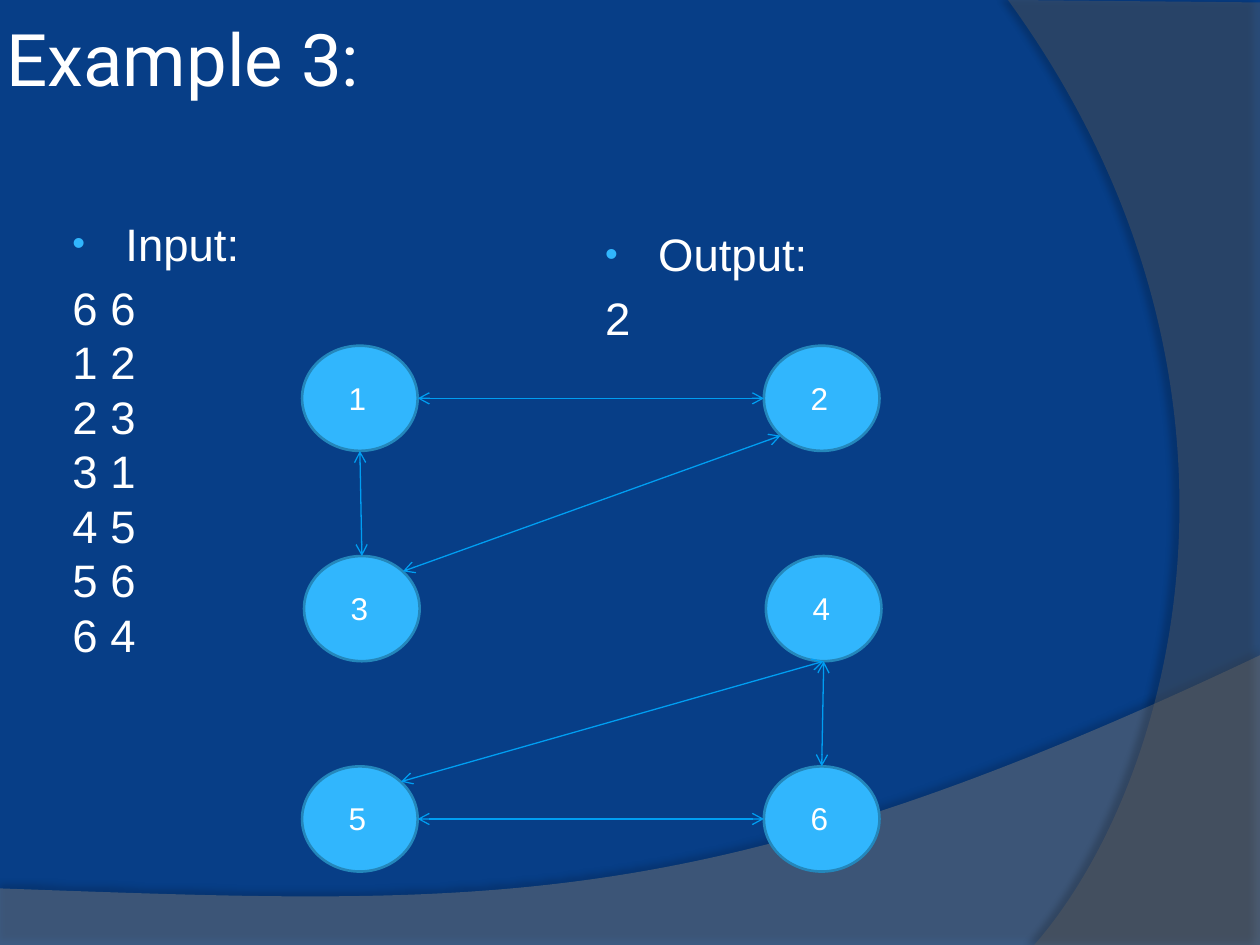
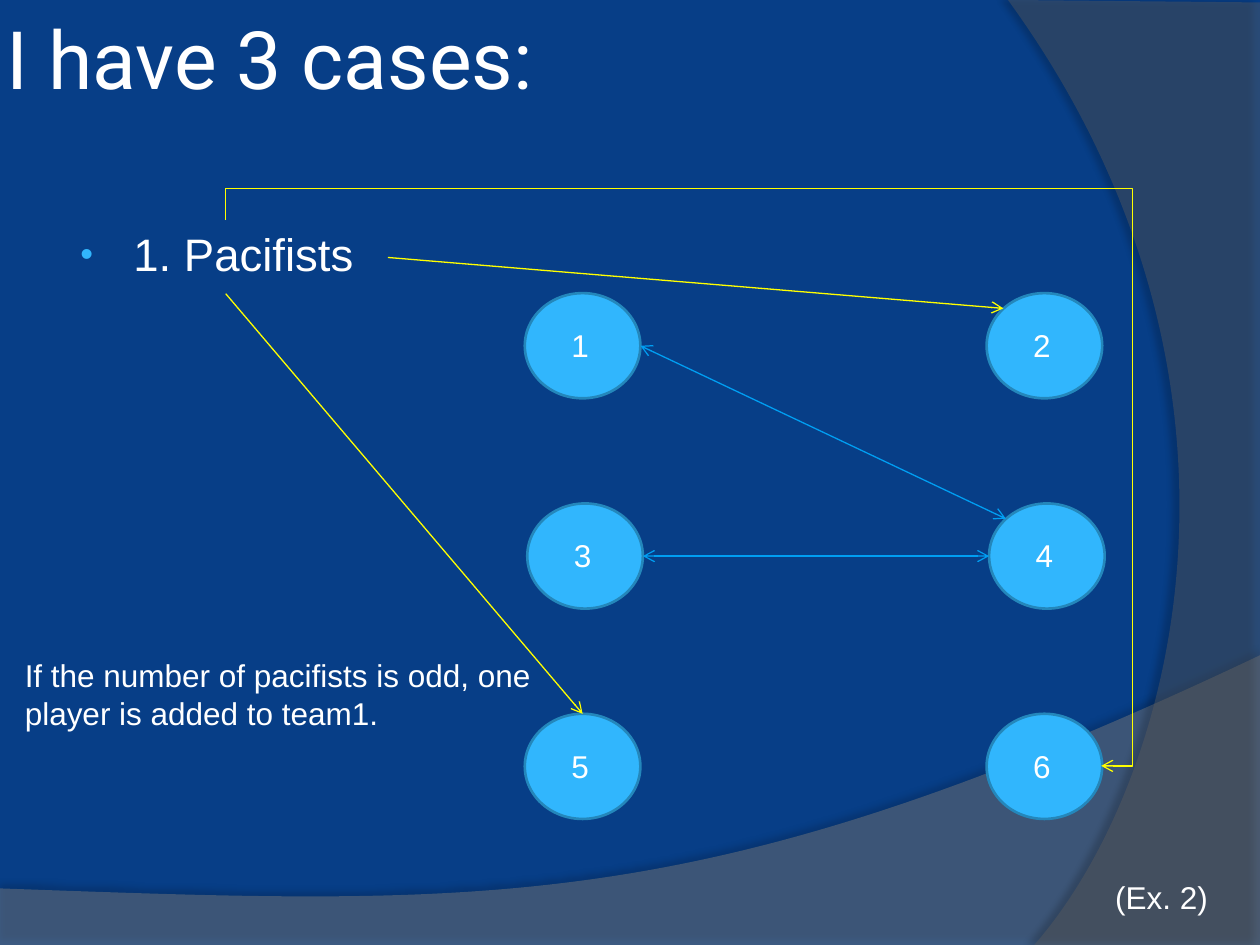
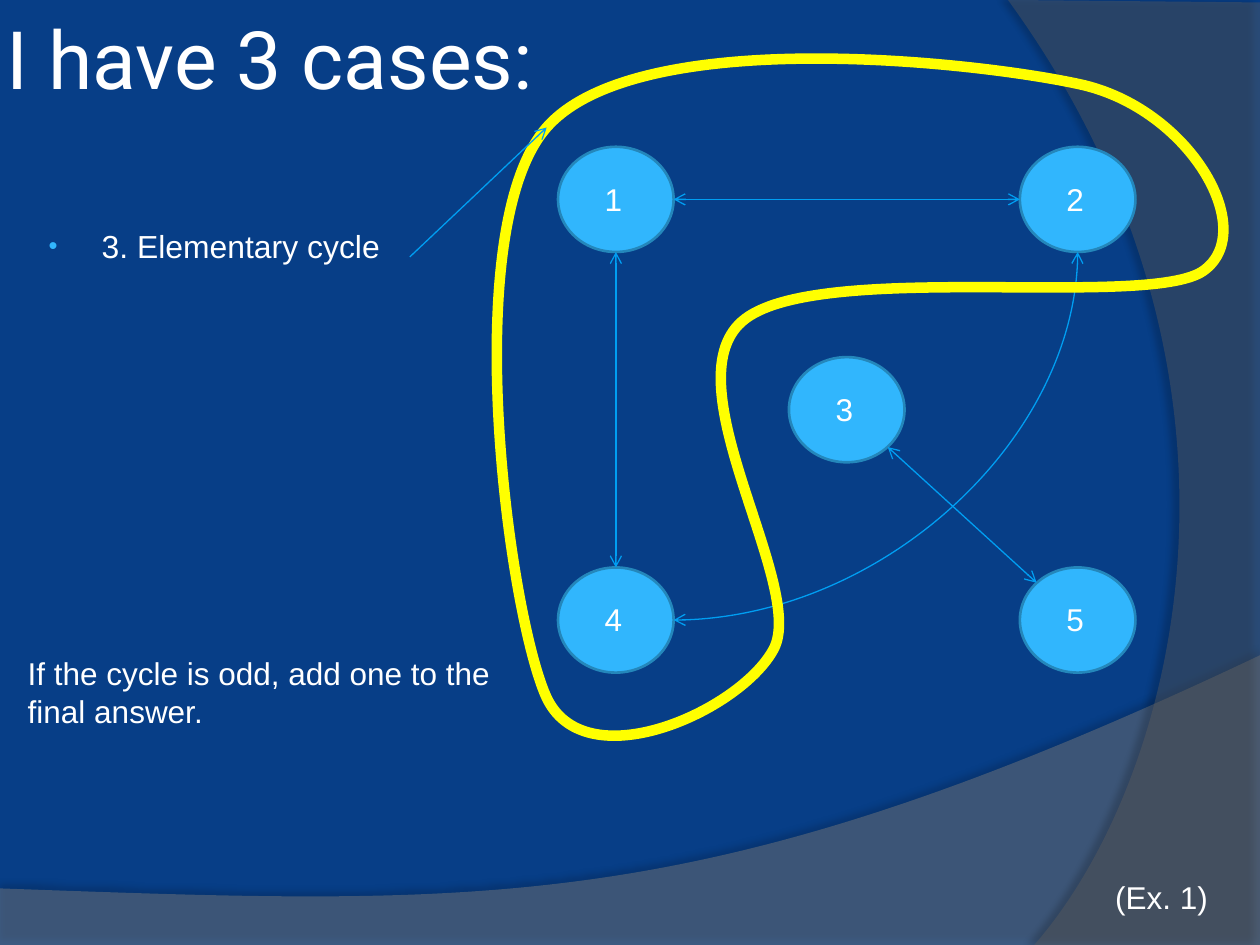
from lxml import etree
from pptx import Presentation
from pptx.dml.color import RGBColor
from pptx.enum.shapes import MSO_CONNECTOR, MSO_SHAPE
from pptx.enum.text import MSO_ANCHOR, MSO_AUTO_SIZE
from pptx.oxml.ns import qn
from pptx.util import Cm, Pt

STRAIGHT, ELBOW = MSO_CONNECTOR.STRAIGHT, MSO_CONNECTOR.ELBOW
OVAL = MSO_SHAPE.OVAL
MIDDLE = MSO_ANCHOR.MIDDLE
GROW = MSO_AUTO_SIZE.SHAPE_TO_FIT_TEXT

NAVY = RGBColor(0x07, 0x3E, 0x87)
SKY = RGBColor(0x31, 0xB6, 0xFD)
RIM = RGBColor(0x24, 0x87, 0xBB)
LINK = RGBColor(0x00, 0x9E, 0xF2)
YELLOW = RGBColor(0xFF, 0xFF, 0x00)
WHITE = RGBColor(0xFF, 0xFF, 0xFF)
GREY = RGBColor(0x7F, 0x7F, 0x7F)
DARK_GREY = RGBColor(0x5E, 0x5E, 0x5E)

# All plain numbers below are centimetres.
SLIDE_W, SLIDE_H = 25.4, 19.05
NODE_W, NODE_H = 2.33, 2.12
COL_GAP, ROW_GAP = 9.31, 4.24
DIAGONAL = 0.71
SIDES = {"T": (0, -1), "B": (0, 1), "L": (-1, 0), "R": (1, 0),
         "TL": (-DIAGONAL, -DIAGONAL), "TR": (DIAGONAL, -DIAGONAL),
         "BL": (-DIAGONAL, DIAGONAL), "BR": (DIAGONAL, DIAGONAL)}

# A frame is left, top, right, bottom.
# An outline is a start point, then line ends (2 numbers) or curves (6 numbers).
BOTTOM_FRAME = (0, 13.21, SLIDE_W, SLIDE_H)
BOTTOM_BAND = [(0, 17.91), (0, SLIDE_H), (SLIDE_W, SLIDE_H), (SLIDE_W, 13.21),
               (14.2, 18.52, 9.93, 18.26, 0, 17.91)]
RIGHT_FRAME = (20.32, 0, SLIDE_W, SLIDE_H)
RIGHT_BAND = [(SLIDE_W, 0.05), (SLIDE_W, SLIDE_H), (20.85, SLIDE_H),
              (23.75, 15.72, 25.86, 7.62, 20.32, 0), (SLIDE_W, 0.05)]
LOOP_FRAME = (10.01, 1.19, 24.66, 14.86)
CYCLE_LOOP = [(11.02, 2.57),
              (9.22, 4.62, 10.24, 12.27, 11, 14.02),
              (11.76, 15.77, 14.94, 14.33, 15.6, 13.08),
              (16.26, 11.81, 13.51, 7.75, 14.96, 6.48),
              (16.41, 5.21, 23.14, 6.25, 24.26, 5.46),
              (25.4, 4.65, 23.98, 2.18, 21.77, 1.7),
              (19.56, 1.22, 12.83, 0.51, 11.02, 2.57)]
PAIRS = {n + 1: (n % 2, n // 2) for n in range(6)}
FIVE = {1: (0, 0), 2: (1, 0), 3: (0.5, 1), 4: (0, 2), 5: (1, 2)}


def add_xml(parent, tag, **attrs):
    return etree.SubElement(parent, qn(tag), {k: str(v) for k, v in attrs.items()})


def anchor(centre, side):
    dx, dy = SIDES[side]
    return centre[0] + dx * NODE_W / 2, centre[1] + dy * NODE_H / 2


class Deck:
    def __init__(self):
        self.prs = Presentation()
        self.prs.slide_width, self.prs.slide_height = Cm(SLIDE_W), Cm(SLIDE_H)
        fill = self.prs.slide_master.background.fill
        fill.solid()
        fill.fore_color.rgb = NAVY

    def new_slide(self, title, width, size):
        self.s = self.prs.slides.add_slide(self.prs.slide_layouts[6])
        self.band(BOTTOM_FRAME, BOTTOM_BAND, GREY, 45, 35, 3.5, 270)
        self.band(RIGHT_FRAME, RIGHT_BAND, DARK_GREY, 40, 45, 4, 180)
        tf = self.box(0, 0, width, 2.32)
        tf.vertical_anchor = MIDDLE
        tf.margin_left = tf.margin_right = tf.margin_top = tf.margin_bottom = Cm(0.13)
        self.run(tf.paragraphs[0], title, size, "Roboto")

    def outline(self, frame, outline):
        """A freeform that fills the frame, its segments being lines or true curves."""
        left, top, right, bottom = (Cm(v) for v in frame)
        fb = self.s.shapes.build_freeform(left, top)
        fb.add_line_segments([(right, bottom)], close=False)
        sp = fb.convert_to_shape()
        sp.shadow.inherit = False
        track = sp._element.spPr.find(".//" + qn("a:path"))
        for child in list(track):
            track.remove(child)
        for i, seg in enumerate(outline):
            tag = "a:moveTo" if i == 0 else "a:lnTo" if len(seg) == 2 else "a:cubicBezTo"
            part = add_xml(track, tag)
            for x, y in zip(seg[::2], seg[1::2]):
                add_xml(part, "a:pt", x=Cm(x) - left, y=Cm(y) - top)
        add_xml(track, "a:close")
        return sp

    def band(self, frame, outline, color, alpha, shadow_alpha, distance, angle):
        sp = self.outline(frame, outline)
        sp.line.fill.background()
        sp.fill.solid()
        sp.fill.fore_color.rgb = color
        spPr = sp._element.spPr
        add_xml(spPr.find(qn("a:solidFill"))[0], "a:alpha", val=alpha * 1000)
        shadow = add_xml(spPr.find(qn("a:effectLst")), "a:outerShdw", blurRad=Pt(4),
                         dist=Pt(distance), dir=angle * 60000, algn="ctr", rotWithShape=0)
        black = add_xml(shadow, "a:srgbClr", val="000000")
        add_xml(black, "a:alpha", val=shadow_alpha * 1000)

    def loop(self, frame, outline):
        sp = self.outline(frame, outline)
        sp.fill.background()
        sp.line.color.rgb = YELLOW
        sp.line.width = Pt(6)

    def box(self, x, y, w, h):
        tf = self.s.shapes.add_textbox(Cm(x), Cm(y), Cm(w), Cm(h)).text_frame
        tf.word_wrap = True
        return tf

    def run(self, p, text, size, font="Arial"):
        r = p.add_run()
        r.text = text
        r.font.size, r.font.name, r.font.color.rgb = Pt(size), font, WHITE

    def note(self, text, x, y, w, h=1.02):
        tf = self.box(x, y, w, h)
        tf.auto_size = GROW
        self.run(tf.paragraphs[0], text, 18)

    def body(self, x, y, w, h, heading, lines=(), size=26):
        """A bulleted heading, with an optional paragraph of lines below it."""
        tf = self.box(x, y, w, h)
        p = tf.paragraphs[0]
        p.space_before = Pt(size * 0.2)
        self.run(p, heading, size)
        pPr = p._p.get_or_add_pPr()
        pPr.set("marL", str(Cm(1.17)))
        pPr.set("indent", str(Cm(-1.07)))
        add_xml(add_xml(pPr, "a:buClr"), "a:srgbClr", val=SKY)
        add_xml(pPr, "a:buSzPct", val=80000)
        add_xml(pPr, "a:buFont", typeface="Arial")
        add_xml(pPr, "a:buChar", char="•")
        if lines:
            p = tf.add_paragraph()
            p.space_before = Pt(size * 0.2)
            p._p.get_or_add_pPr().set("marL", str(Cm(0.1)))
            for i, line in enumerate(lines):
                if i:
                    p.add_line_break()
                self.run(p, line, size)

    def node(self, label, x, y):
        sp = self.s.shapes.add_shape(OVAL, Cm(x), Cm(y), Cm(NODE_W), Cm(NODE_H))
        sp.shadow.inherit = False
        sp.fill.solid()
        sp.fill.fore_color.rgb = SKY
        sp.line.color.rgb = RIM
        sp.line.width = Pt(1.5)
        self.note(str(label), x + 0.69, y + 0.54, 0.97)
        return x + NODE_W / 2, y + NODE_H / 2

    def graph(self, left, top, places, shift=0):
        """Draw nodes on a grid, the middle row moved by shift; return their centres."""
        return {label: self.node(label, left + col * COL_GAP + shift * (row == 1),
                                 top + row * ROW_GAP)
                for label, (col, row) in places.items()}

    def arrow(self, start, end, color=LINK, both=True, kind=STRAIGHT):
        c = self.s.shapes.add_connector(kind, *(Cm(v) for v in (*start, *end)))
        c.line.color.rgb = color
        c.line.width = Pt(0.75)
        spPr = c._element.spPr
        ln = spPr.find(qn("a:ln"))
        if both:
            add_xml(ln, "a:headEnd", type="arrow")
        add_xml(ln, "a:tailEnd", type="arrow")
        add_xml(spPr, "a:effectLst")
        return c

    def routed(self, start, end, preset, angle, flip=False, adjust=(), **style):
        """An arrow of another connector preset, turned by a quarter."""
        c = self.arrow(start, end, kind=ELBOW, **style)
        (x1, y1), (x2, y2) = start, end
        w, h = abs(y2 - y1), abs(x2 - x1)
        c.left, c.top = Cm((x1 + x2 - w) / 2), Cm((y1 + y2 - h) / 2)
        c.width, c.height = Cm(w), Cm(h)
        xfrm = c._element.spPr.find(qn("a:xfrm"))
        xfrm.set("rot", str(angle * 60000))
        xfrm.set("flipH", str(int(flip)))
        geom = c._element.spPr.find(qn("a:prstGeom"))
        geom.set("prst", preset)
        for i, value in enumerate(adjust, 1):
            add_xml(geom.find(qn("a:avLst")), "a:gd", name=f"adj{i}", fmla=f"val {value}")

    def links(self, nodes, *ends):
        for a, side_a, b, side_b in ends:
            self.arrow(anchor(nodes[a], side_a), anchor(nodes[b], side_b))


def example_slide(deck):
    deck.new_slide("Example 3:", 7.82, 41.4)
    deck.body(1.11, 4.23, 5.03, 12.75, "Input:",
              ("6 6", "1 2", "2 3", "3 1", "4 5", "5 6", "6 4"))
    deck.body(11.85, 4.44, 10.16, 12.57, "Output:", ("2",))
    nodes = deck.graph(6.09, 6.97, PAIRS, shift=0.04)
    deck.links(nodes, (1, "R", 2, "L"), (2, "BL", 3, "TR"), (3, "T", 1, "B"),
               (4, "B", 5, "TR"), (5, "R", 6, "L"), (6, "T", 4, "B"))


def pacifists_slide(deck):
    deck.new_slide("I have 3 cases:", 22.66, 46)
    deck.body(1.27, 4.44, 6.55, 1.47, "1. Pacifists")
    nodes = deck.graph(10.58, 5.91, PAIRS, shift=0.05)
    deck.links(nodes, (1, "R", 4, "TL"), (3, "R", 4, "L"))
    yellow = {"color": YELLOW, "both": False}
    deck.arrow((4.55, 5.92), anchor(nodes[5], "T"), **yellow)
    deck.arrow((7.82, 5.19), anchor(nodes[2], "TL"), **yellow)
    deck.routed((4.55, 4.44), (22.2, 15.44), "bentConnector4", 270, flip=True,
                adjust=(-5800, 103600), **yellow)
    deck.note("(Ex. 2)", 22.23, 17.58, 2.54)
    deck.note("If the number of pacifists is odd, one player is added to team1.",
              0.25, 13.11, 10.95, 1.8)


def cycle_slide(deck):
    deck.new_slide("I have 3 cases:", 22.66, 46)
    deck.body(0.63, 4.44, 7.62, 1.47, "3. Elementary cycle", size=18.2)
    deck.note("(Ex. 1)", 22.23, 17.58, 2.54)
    deck.note("If the cycle is odd, add one to the final answer.", 0.31, 13.06, 10.95, 1.8)
    nodes = deck.graph(11.25, 2.96, FIVE)
    deck.links(nodes, (1, "R", 2, "L"), (5, "TL", 3, "BR"), (1, "B", 4, "T"))
    deck.routed(anchor(nodes[2], "B"), anchor(nodes[4], "R"), "curvedConnector2", 90)
    deck.loop(LOOP_FRAME, CYCLE_LOOP)
    deck.arrow((8.26, 5.18), CYCLE_LOOP[0], both=False)


def main():
    deck = Deck()
    example_slide(deck)
    pacifists_slide(deck)
    cycle_slide(deck)
    deck.prs.save("out.pptx")


if __name__ == "__main__":
    main()
